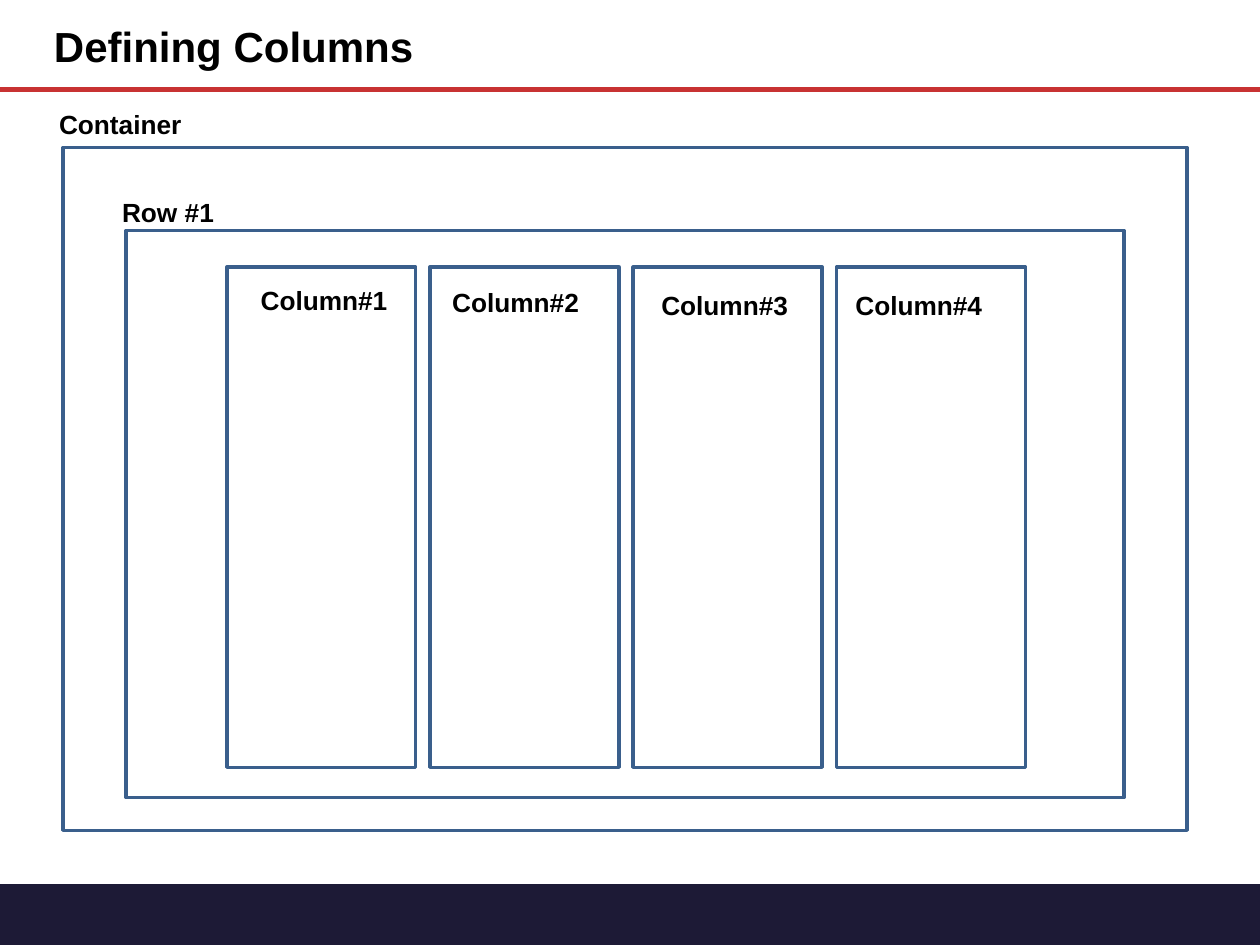
from dataclasses import dataclass

from pptx import Presentation
from pptx.dml.color import RGBColor
from pptx.enum.shapes import MSO_CONNECTOR as CONNECTOR, MSO_SHAPE as SHAPE
from pptx.oxml.ns import qn
from pptx.util import Inches, Pt
from lxml.etree import SubElement


@dataclass(frozen=True)
class Theme:
    font: str = "Arial"
    text: RGBColor = RGBColor(0x00, 0x00, 0x00)
    frame: RGBColor = RGBColor(0x3A, 0x5F, 0x8C)
    rule: RGBColor = RGBColor(0xC8, 0x32, 0x32)
    footer: RGBColor = RGBColor(0x1D, 0x1A, 0x36)
    title_size: int = 24
    label_size: int = 15
    frame_width: float = 2
    rule_width: float = 3.25


THEME = Theme()


def add_label(slide, text, left, top, width=5.58, height=0.35, size=THEME.label_size):
    label = slide.shapes.add_textbox(*map(Inches, (left, top, width, height)))
    label.text_frame.word_wrap = True
    run = label.text_frame.paragraphs[0].add_run()
    run.text = text
    formats = {"name": THEME.font, "size": Pt(size), "bold": True}
    for attribute, value in formats.items():
        setattr(run.font, attribute, value)
    run.font.color.rgb = THEME.text


def add_frame(slide, left, top, width, height):
    frame = slide.shapes.add_shape(
        SHAPE.RECTANGLE, *map(Inches, (left, top, width, height)))
    frame.shadow.inherit = False
    frame.fill.background()
    frame.line.color.rgb = THEME.frame
    frame.line.width = Pt(THEME.frame_width)


def add_footer(slide):
    footer = slide.shapes.add_shape(
        SHAPE.FLOWCHART_PROCESS, *map(Inches, (0, 7.02, 10.01, 0.5)))
    footer.shadow.inherit = False
    footer.fill.solid()
    footer.fill.fore_color.rgb = THEME.footer
    footer.line.fill.background()


def add_title_rule(slide):
    rule = slide.shapes.add_connector(
        CONNECTOR.STRAIGHT, *map(Inches, (0, 0.71, 10, 0.71)))
    rule.line.color.rgb = THEME.rule
    rule.line.width = Pt(THEME.rule_width)
    SubElement(rule._element.spPr, qn("a:effectLst"))


def main():
    deck = Presentation()
    deck.slide_width, deck.slide_height = Inches(10), Inches(7.5)
    slide = deck.slides.add_slide(deck.slide_layouts[6])

    # Footer band, title and its rule
    add_footer(slide)
    add_title_rule(slide)
    add_label(slide, "Defining Columns", 0.33, 0.11, height=0.5,
              size=THEME.title_size)

    # Container and the row inside it
    add_frame(slide, 0.5, 1.17, 8.92, 5.42)
    add_frame(slide, 1, 1.83, 7.92, 4.5)
    add_label(slide, "Container", 0.37, 0.81)
    add_label(slide, "Row #1", 0.87, 1.51)

    # Four evenly spaced columns, each with its own label position
    first_left, pitch = 1.8, 1.613
    label_places = [(1.97, 2.21), (3.49, 2.22), (5.15, 2.25), (6.69, 2.25)]
    for index, (label_left, label_top) in enumerate(label_places):
        add_frame(slide, first_left + index * pitch, 2.12, 1.5, 3.97)
        add_label(slide, f"Column#{index + 1}", label_left, label_top, width=1.24)

    deck.save("out.pptx")


if __name__ == "__main__":
    main()
